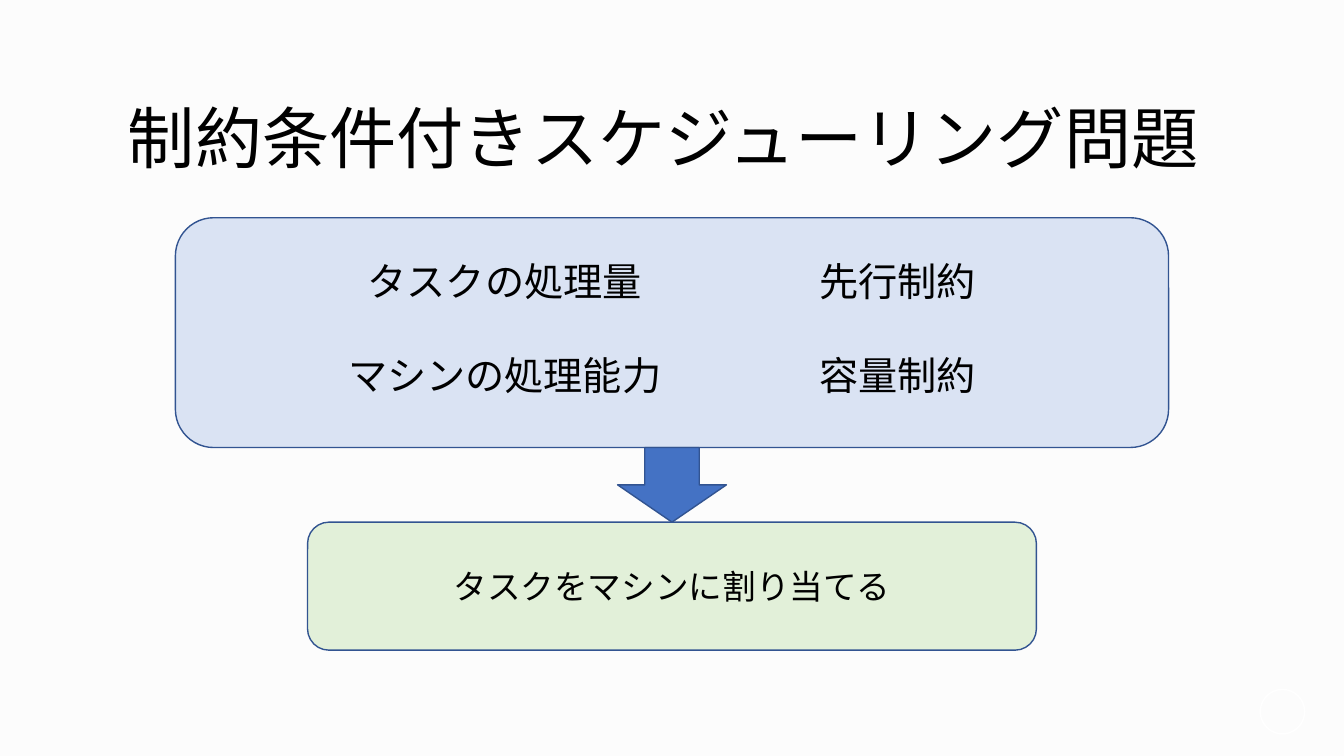
from pptx import Presentation
from pptx.dml.color import RGBColor
from pptx.enum.shapes import MSO_SHAPE
from pptx.enum.text import MSO_ANCHOR, MSO_AUTO_SIZE, PP_ALIGN
from pptx.util import Inches, Pt

BACKGROUND = RGBColor(0xFC, 0xFC, 0xFC)
WHITE = RGBColor(0xFF, 0xFF, 0xFF)
BLACK = RGBColor(0x00, 0x00, 0x00)
PALE_BLUE = RGBColor(0xDA, 0xE3, 0xF3)
PALE_GREEN = RGBColor(0xE2, 0xF0, 0xD9)
BLUE = RGBColor(0x44, 0x72, 0xC4)
OUTLINE = RGBColor(0x32, 0x54, 0x91)

deck = Presentation()
deck.slide_width, deck.slide_height = Inches(13.33), Inches(7.5)
page = deck.slides.add_slide(deck.slide_layouts[5])
page.background.fill.solid()
page.background.fill.fore_color.rgb = BACKGROUND


def area(left, top, width, height):
    """Turn percentages of the slide into lengths."""
    across, down = deck.slide_width / 100, deck.slide_height / 100
    return int(left * across), int(top * down), int(width * across), int(height * down)


def write(box, lines, size, align):
    frame = box.text_frame
    frame.word_wrap = True
    frame.text = "\n".join(lines)
    for para in frame.paragraphs:
        para.alignment = align
        for span in para.runs:
            span.font.name = "Calibri"
            span.font.size = Pt(size)
            span.font.color.rgb = BLACK
    return frame


# Corner ring
ring = page.shapes.add_shape(MSO_SHAPE.OVAL, *area(93.77, 91.2, 3.3, 5.87))
ring.shadow.inherit = False
ring.fill.background()
ring.line.color.rgb = WHITE
ring.line.width = Pt(1)

# Title
title = page.shapes.title
title.left, title.top, title.width, title.height = area(8.77, 7.07, 82.5, 23.47)
frame = write(title, ["制約条件付きスケジューリング問題"], 48, PP_ALIGN.LEFT)
frame.auto_size = MSO_AUTO_SIZE.NONE
frame.vertical_anchor = MSO_ANCHOR.MIDDLE
frame.paragraphs[0].line_spacing = 0.9

# Conditions, arrow and result: centred and stacked without gaps
flow = [
    (MSO_SHAPE.ROUNDED_RECTANGLE, 73.9, 30.4, PALE_BLUE, None),
    (MSO_SHAPE.DOWN_ARROW, 8.1, 9.87, BLUE, None),
    (MSO_SHAPE.ROUNDED_RECTANGLE, 54.23, 16.93, PALE_GREEN, "タスクをマシンに割り当てる"),
]
top = 28.8
for kind, width, height, color, label in flow:
    step = page.shapes.add_shape(kind, *area((100 - width) / 2, top, width, height))
    step.shadow.inherit = False
    step.fill.solid()
    step.fill.fore_color.rgb = color
    step.line.color.rgb = OUTLINE
    step.line.width = Pt(1)
    if label:
        write(step, [label], 24, PP_ALIGN.CENTER).vertical_anchor = MSO_ANCHOR.MIDDLE
    top += height

# Two columns of conditions
columns = [
    (24.98, 25.13, ["タスクの処理量", "マシンの処理能力"]),
    (54.4, 24.75, ["先行制約", "容量制約"]),
]
for left, width, lines in columns:
    box = page.shapes.add_textbox(*area(left, 33.33, width, 26.53))
    frame = write(box, lines, 28, PP_ALIGN.CENTER)
    frame.paragraphs[1].space_before = Pt(34)

deck.save("out.pptx")
